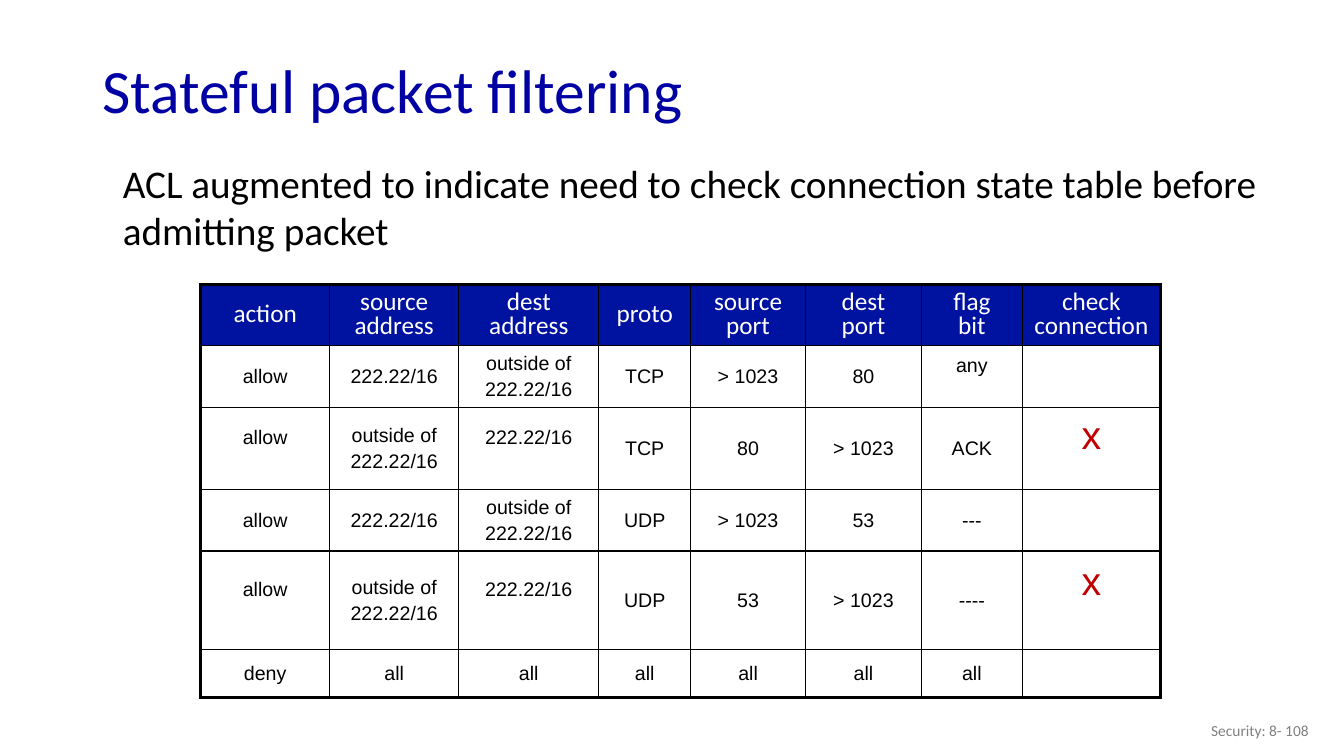
import pptx
import pptx.util
import pptx.dml.color
import pptx.enum.text
import pptx.oxml
import pptx.oxml.ns
from dataclasses import dataclass

Inches = pptx.util.Inches
Pt = pptx.util.Pt
Align = pptx.enum.text.PP_ALIGN
Anchor = pptx.enum.text.MSO_ANCHOR


@dataclass(frozen=True)
class Theme:
    """Colours, fonts and type sizes of the slide."""
    blue: str = "0000A3"
    navy: str = "0012A0"
    red: str = "C00000"
    grey: str = "808080"
    black: str = "000000"
    white: str = "FFFFFF"
    sans: str = "Calibri"
    mono: str = "Arial"
    title: int = 44
    body: int = 28
    head: int = 18
    cell: int = 14
    foot: int = 11
    thin: float = 1
    thick: float = 2.25


class Deck:
    """Holds the theme and the current slide and adds elements to it."""

    def __init__(self, theme):
        self.theme = theme
        self.file = pptx.Presentation()
        self.file.slide_width = Inches(13.33)
        self.file.slide_height = Inches(7.5)
        self.slide = self.file.slides.add_slide(self.file.slide_layouts[6])

    def style(self, frame, size, color, font, align=Align.LEFT, line=None, gap=0):
        """Format every paragraph of a text frame alike."""
        for para in frame.paragraphs:
            para.alignment = align
            para.space_before = Pt(gap * size)
            if line:
                para.line_spacing = line
            for run in para.runs:
                run.font.size = Pt(size)
                run.font.name = font
                run.font.color.rgb = pptx.dml.color.RGBColor.from_string(color)

    def text(self, words, box, size, color, anchor=Anchor.MIDDLE, **look):
        """Add a wrapped text box."""
        frame = self.slide.shapes.add_textbox(*map(Inches, box)).text_frame
        frame.word_wrap = True
        frame.vertical_anchor = anchor
        frame.text = words
        self.style(frame, size, color, self.theme.sans, **look)

    def edge(self, cell, side, width):
        """Draw one border of a table cell."""
        line = pptx.oxml.parse_xml(
            f'<a:{side} {pptx.oxml.ns.nsdecls("a")} w="{Pt(width)}"><a:solidFill>'
            f'<a:srgbClr val="{self.theme.black}"/></a:solidFill></a:{side}>')
        props = cell._tc.get_or_add_tcPr()
        props.insert(len(props.findall(pptx.oxml.ns.qn("a:ln" + "L")))
                     + sum(len(props.findall(pptx.oxml.ns.qn("a:" + name)))
                           for name in ("lnR", "lnT", "lnB")), line)

    def cell(self, cell, words, head, lift):
        """Fill and format one table cell, raised by extra bottom margin."""
        theme = self.theme
        cell.vertical_anchor = Anchor.MIDDLE
        cell.margin_left = cell.margin_right = Inches(0.1)
        cell.margin_top = Inches(0.05)
        cell.margin_bottom = Inches(0.05 + lift)
        cell.text_frame.text = words
        if head:
            cell.fill.solid()
            cell.fill.fore_color.rgb = pptx.dml.color.RGBColor.from_string(theme.navy)
            self.style(cell.text_frame, theme.head, theme.white, theme.sans,
                       Align.CENTER, line=0.8)
            return
        cell.fill.background()
        mark = words == "x"
        self.style(cell.text_frame, theme.body if mark else theme.cell,
                   theme.red if mark else theme.black, theme.mono,
                   Align.CENTER, gap=0.2)

    def table(self, rows, left, top, widths, heights, lifts):
        """Add a table with thin inner lines and a thick frame."""
        last, end = len(rows) - 1, len(widths) - 1
        grid = self.slide.shapes.add_table(
            len(rows), len(widths), Inches(left), Inches(top),
            Inches(sum(widths)), Inches(sum(heights))).table
        grid.first_row = grid.horz_banding = False
        for col, width in zip(grid.columns, widths):
            col.width = Inches(width)
        for row, height in zip(grid.rows, heights):
            row.height = Inches(height)
        for r, row in enumerate(rows):
            for c, words in enumerate(row):
                cell = grid.cell(r, c)
                self.cell(cell, words, r == 0, lifts.get((r, c), 0))
                outer = {"lnL": c == 0, "lnR": c == end, "lnT": r == 0, "lnB": r == last}
                for side, thick in outer.items():
                    self.edge(cell, side, self.theme.thick if thick else self.theme.thin)


def main():
    """Build the slide and save it."""
    theme = Theme()
    deck = Deck(theme)
    deck.text("Security: 8- 108", (10.08, 7.05, 3, 0.4), theme.foot, theme.grey,
              align=Align.RIGHT)
    deck.text("Stateful packet filtering", (0.92, 0.44, 11.5, 0.98), theme.title,
              theme.blue, line=0.9)
    net, away = "222.22/16", "outside of\n222.22/16"
    high = "> 1023"
    rows = [
        ("action", "source\naddress", "dest\naddress", "proto", "source\nport",
         "dest\nport", "flag\nbit", "check connection"),
        ("allow", net, away, "TCP", high, "80", "any", ""),
        ("allow", away, net, "TCP", "80", high, "ACK", "x"),
        ("allow", net, away, "UDP", high, "53", "---", ""),
        ("allow", away, net, "UDP", "53", high, "----", "x"),
        ("deny",) + ("all",) * 6 + ("",),
    ]
    lifts = dict.fromkeys([(1, 6), (2, 0), (2, 2), (4, 0), (4, 2)], 0.22)
    lifts.update({(2, 7): 0.25, (4, 7): 0.37})
    deck.table(rows, 1.99, 2.82, (1.28, 1.28, 1.39, 0.91, 1.14, 1.15, 1, 1.37),
               (0.61, 0.61, 0.79, 0.61, 0.98, 0.47), lifts)
    deck.text("ACL augmented to indicate need to check connection state table "
              "before admitting packet", (1.12, 1.53, 11.95, 1.21), theme.body,
              theme.black, Anchor.TOP, gap=0.2)
    deck.file.save("out.pptx")


if __name__ == "__main__":
    main()
